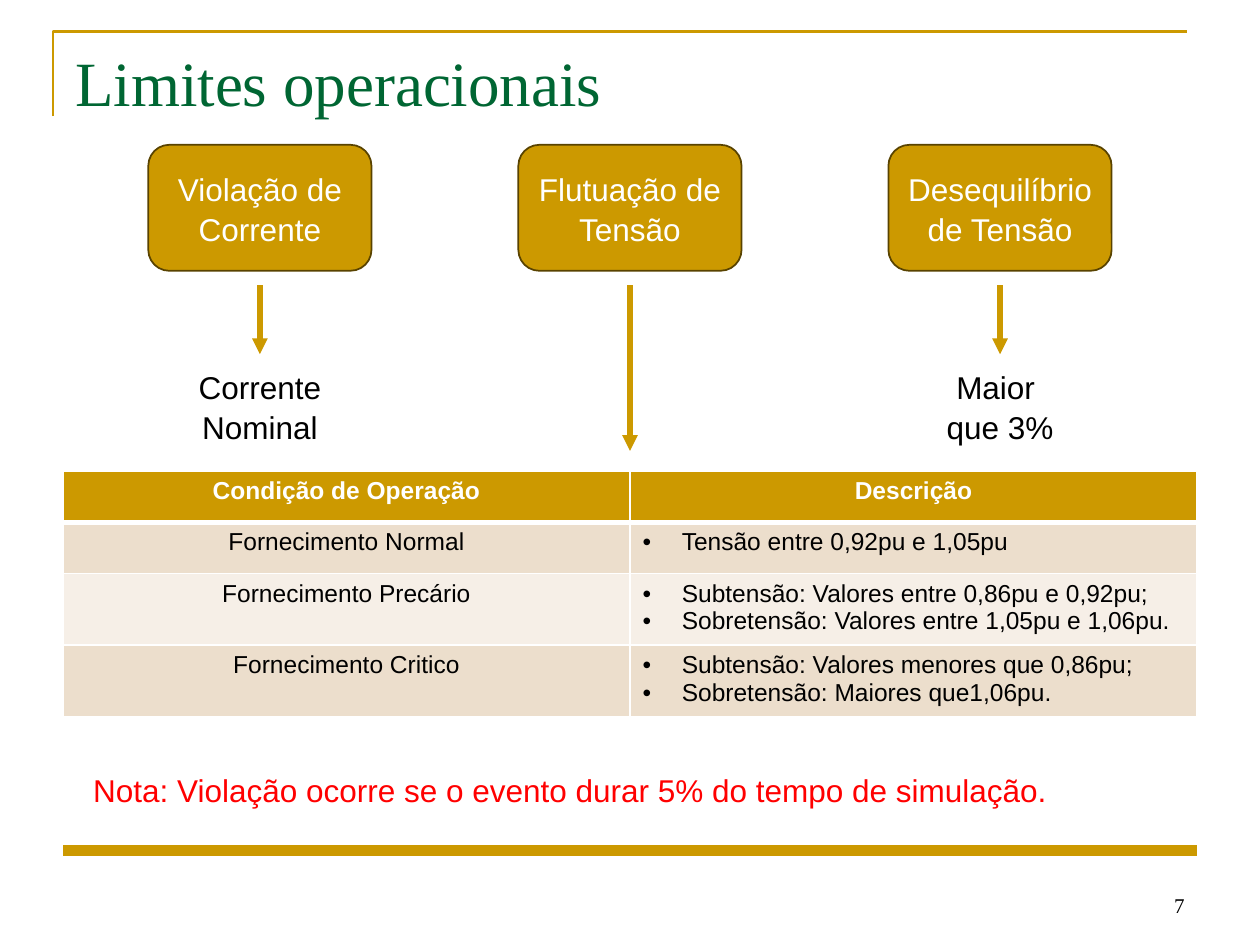
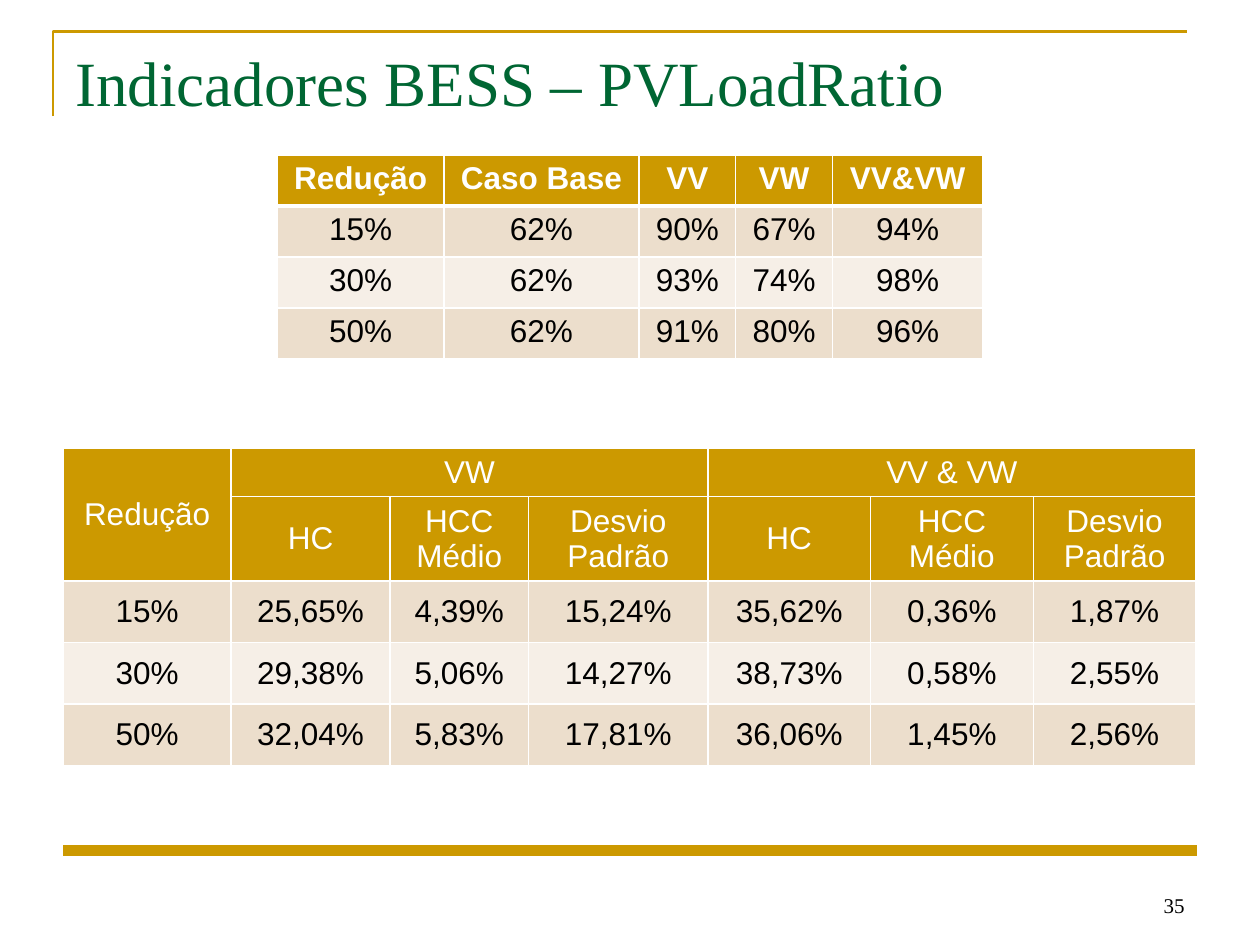
"""Build two slides on operating limits and storage indicators."""
from dataclasses import dataclass

from pptx import Presentation
from pptx.dml.color import RGBColor as Rgb
from pptx.enum.shapes import MSO_CONNECTOR as Conn, MSO_SHAPE as Kind
from pptx.enum.text import MSO_ANCHOR as Anchor, PP_ALIGN as Align
from pptx.oxml.ns import qn
from pptx.util import Cm, Pt
from lxml.etree import SubElement as Sub


@dataclass(frozen=True)
class Theme:
    """Colours, faces and type sizes of the deck."""
    gold: str = "CC9900"
    brown: str = "594300"
    green: str = "006633"
    red: str = "FF0000"
    white: str = "FFFFFF"
    black: str = "000000"
    bands: tuple = ("ECDECC", "F6EFE7")
    serif: str = "Times New Roman"
    sans: str = "Arial"
    head: int = 36
    body: int = 18
    small: int = 14
    foot: int = 12


T = Theme()
MID, STEP = 12.7, 7.46
LIMITS = [
    ("Violação de Corrente", 7.14, ["Corrente", "Nominal"]),
    ("Flutuação de Tensão", 9.09, None),
    ("Desequilíbrio de Tensão", 7.14, ["Maior ", "que 3%"]),
]
SUPPLY = [
    ["Condição de Operação", "Descrição"],
    ["Fornecimento Normal", ["Tensão entre 0,92pu e 1,05pu"]],
    ["Fornecimento Precário", ["Subtensão: Valores entre 0,86pu e 0,92pu;",
                               "Sobretensão: Valores entre 1,05pu e 1,06pu."]],
    ["Fornecimento Critico", ["Subtensão: Valores menores que 0,86pu;",
                              "Sobretensão: Maiores que1,06pu."]],
]
RATIO = [
    ["Redução", "Caso Base", "VV", "VW", "VV&VW"],
    ["15%", "62%", "90%", "67%", "94%"],
    ["30%", "62%", "93%", "74%", "98%"],
    ["50%", "62%", "91%", "80%", "96%"],
]
HOSTING = [
    ["Redução", "VW", None, None, "VV & VW", None, None],
    [None] + ["HC", "HCC Médio", "Desvio Padrão"] * 2,
    ["15%", "25,65%", "4,39%", "15,24%", "35,62%", "0,36%", "1,87%"],
    ["30%", "29,38%", "5,06%", "14,27%", "38,73%", "0,58%", "2,55%"],
    ["50%", "32,04%", "5,83%", "17,81%", "36,06%", "1,45%", "2,56%"],
]


def tint(hue):
    """Turn a hex string into a colour."""
    return Rgb.from_string(hue)


def bullet(para):
    """Give a paragraph a hanging bullet."""
    prop = para._p.get_or_add_pPr()
    prop.set("marL", str(Cm(0.79)))
    prop.set("indent", str(-Cm(0.79)))
    Sub(prop, qn("a:buFont")).set("typeface", T.sans)
    Sub(prop, qn("a:buChar")).set("char", "•")


def write(frame, lines, size, hue, face=T.sans, align=Align.CENTER,
          bold=False, dots=False, lead=None):
    """Write one run per line, each in its own paragraph."""
    for num, line in enumerate(lines):
        para = frame.add_paragraph() if num else frame.paragraphs[0]
        if dots:
            bullet(para)
        para.alignment = align
        if lead:
            para.line_spacing = lead
        run = para.add_run()
        run.text = line
        font = run.font
        font.size, font.name, font.bold = Pt(size), face, bold
        font.color.rgb = tint(hue)


def label(slide, box, lines, size, hue, anchor=Anchor.TOP, **look):
    """Add a wrapped text box."""
    frame = slide.shapes.add_textbox(*map(Cm, box)).text_frame
    frame.word_wrap = True
    frame.vertical_anchor = anchor
    write(frame, lines, size, hue, **look)


def rule(slide, start, end, width, arrow=False):
    """Add a straight gold line, with an arrowhead if asked."""
    line = slide.shapes.add_connector(Conn.STRAIGHT, *map(Cm, start + end))
    line.line.color.rgb = tint(T.gold)
    line.line.width = Pt(width)
    if arrow:
        Sub(line.line._get_or_add_ln(), qn("a:tailEnd")).set("type", "triangle")
    Sub(line._element.spPr, qn("a:effectLst"))


def corner(slide):
    """Draw the open corner around the title."""
    path = slide.shapes.build_freeform(Cm(1.07), Cm(2.34), scale=1.0)
    path.add_line_segments([(Cm(1.07), Cm(0.64)), (Cm(23.93), Cm(0.64))],
                           close=False)
    shape = path.convert_to_shape()
    shape.shadow.inherit = False
    shape.fill.background()
    shape.line.color.rgb = tint(T.gold)
    shape.line.width = Pt(1.5)


def card(slide, mid, text):
    """Add a rounded gold card centred on mid."""
    shape = slide.shapes.add_shape(Kind.ROUNDED_RECTANGLE, Cm(mid - 2.25),
                                   Cm(2.92), Cm(4.5), Cm(2.54))
    shape.shadow.inherit = False
    shape.fill.solid()
    shape.fill.fore_color.rgb = tint(T.gold)
    shape.line.color.rgb = tint(T.brown)
    shape.line.width = Pt(1)
    frame = shape.text_frame
    frame.word_wrap = True
    frame.vertical_anchor = Anchor.MIDDLE
    frame.margin_left = frame.margin_right = Cm(0.2)
    write(frame, [text], T.body, T.white, lead=1.05)


def edge(cell, **sides):
    """Draw white cell borders of the given widths."""
    prop = cell._tc.get_or_add_tcPr()
    for side in "LRTB":
        line = Sub(prop, qn("a:ln" + side), w=str(Pt(sides.get(side, 1))))
        fill = Sub(line, qn("a:solidFill"))
        Sub(fill, qn("a:srgbClr")).set("val", T.white)


def grid(slide, spot, cols, rows, data, size, heads=1, bold=True,
         tight=False):
    """Add a banded table; tight cells are centred with no vertical inset."""
    table = slide.shapes.add_table(len(rows), len(cols), *map(Cm, spot),
                                   Cm(sum(cols)), Cm(sum(rows))).table
    for col, width in zip(table.columns, cols):
        col.width = Cm(width)
    for row, height in zip(table.rows, rows):
        row.height = Cm(height)
    for r, items in enumerate(data):
        head = r < heads
        for c, item in enumerate(items):
            cell = table.cell(r, c)
            thick = 1 if tight else 3
            edge(cell, T=thick if r == heads else 1,
                 B=thick if r == heads - 1 else 1)
            cell.fill.solid()
            cell.fill.fore_color.rgb = tint(
                T.gold if head else T.bands[(r - heads) % 2])
            if tight:
                cell.vertical_anchor = Anchor.MIDDLE
                cell.margin_top = cell.margin_bottom = 0
            if item is None:
                continue
            dots = isinstance(item, list)
            write(cell.text_frame, item if dots else [item], size,
                  T.white if head else T.black, bold=head and bold,
                  align=Align.LEFT if dots else Align.CENTER, dots=dots)
    return table


def base(deck, title, num):
    """Add a slide with its frame, title and number."""
    slide = deck.slides.add_slide(deck.slide_layouts[6])
    corner(slide)
    rule(slide, (1.27, 17.14), (24.13, 17.14), 6)
    label(slide, (1.27, 0.76, 22.86, 1.75), [title], T.head, T.green,
          face=T.serif, align=Align.LEFT)
    label(slide, (18.21, 17.35, 5.92, 1.27), [num], T.foot, T.black,
          anchor=Anchor.BOTTOM, face=T.serif, align=Align.RIGHT)
    return slide


def limits(deck):
    """Build the slide on operating limits."""
    slide = base(deck, "Limites operacionais", "7")
    grid(slide, (1.27, 9.5), [11.43] * 2, [1.03, 1.03, 1.37, 1.37],
         SUPPLY, T.small)
    for num, (name, end, note) in enumerate(LIMITS):
        mid = MID + (num - 1) * STEP
        card(slide, mid, name)
        rule(slide, (mid, 5.75), (mid, end), 3, arrow=True)
        if note:
            label(slide, (mid - 2.25, 7.26, 4.5, 1.8), note, T.body,
                  T.black, lead=1.05)
    label(slide, (1.63, 15.39, 21.08, 1.02),
          ["Nota: Violação ocorre se o evento durar 5% do tempo de simulação."],
          T.body, T.red, align=Align.LEFT, lead=1.05)


def storage(deck):
    """Build the slide on storage indicators."""
    slide = base(deck, "Indicadores BESS – PVLoadRatio", "35")
    table = grid(slide, (1.27, 9.04),
                 [3.39, 3.2, 2.8, 3.61, 3.28, 3.28, 3.28],
                 [0.97, 1.7] + [1.24] * 3, HOSTING, T.body, heads=2,
                 bold=False, tight=True)
    table.cell(0, 0).merge(table.cell(1, 0))
    for col in (1, 4):
        table.cell(0, col).merge(table.cell(0, col + 2))
    grid(slide, (5.59, 3.12), [3.36, 3.93, 1.95, 1.95, 3.03], [1.03] * 4,
         RATIO, T.body)


def main():
    """Build and save the deck."""
    deck = Presentation()
    deck.slide_width, deck.slide_height = Cm(25.4), Cm(19.05)
    limits(deck)
    storage(deck)
    deck.save("out.pptx")


if __name__ == "__main__":
    main()
